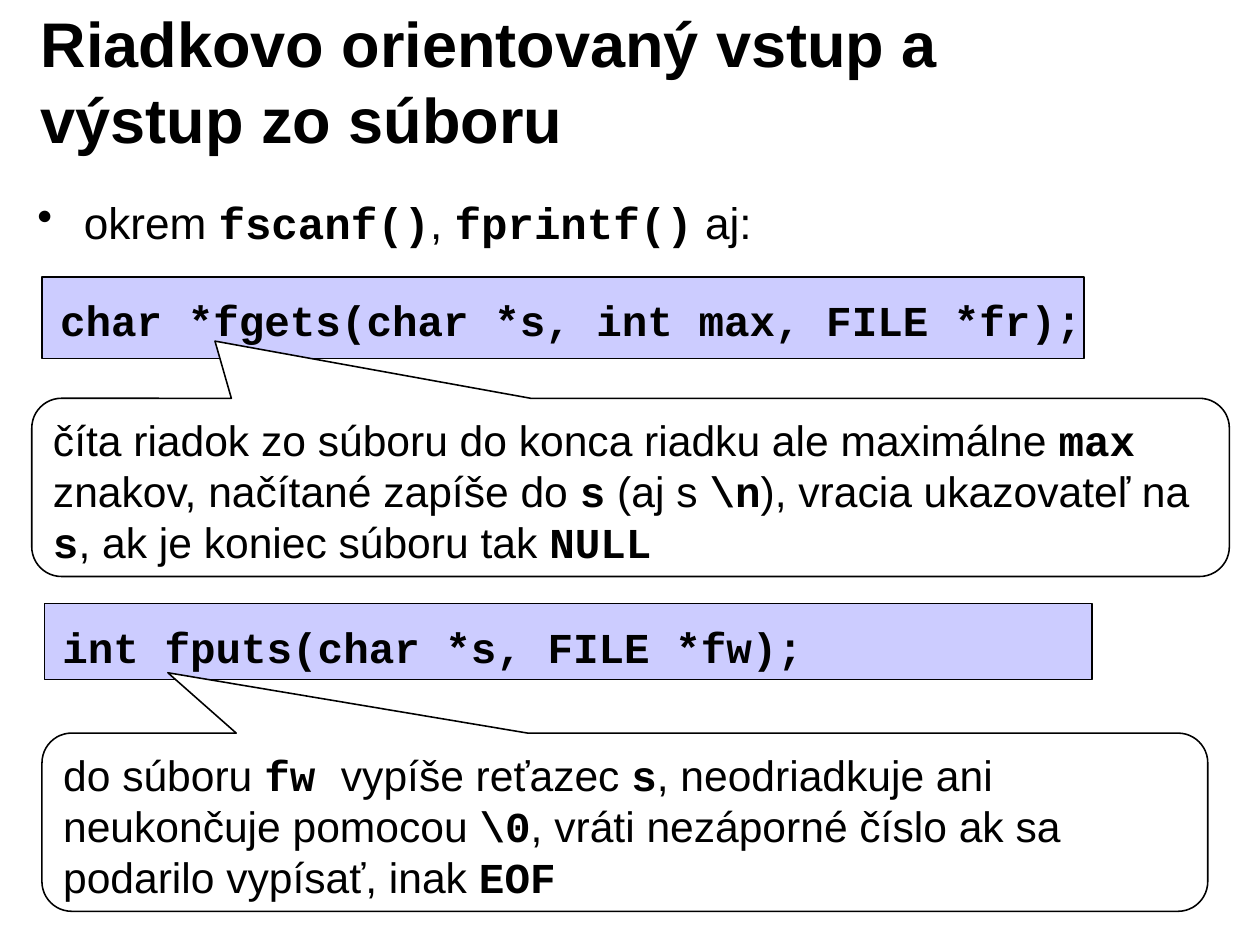
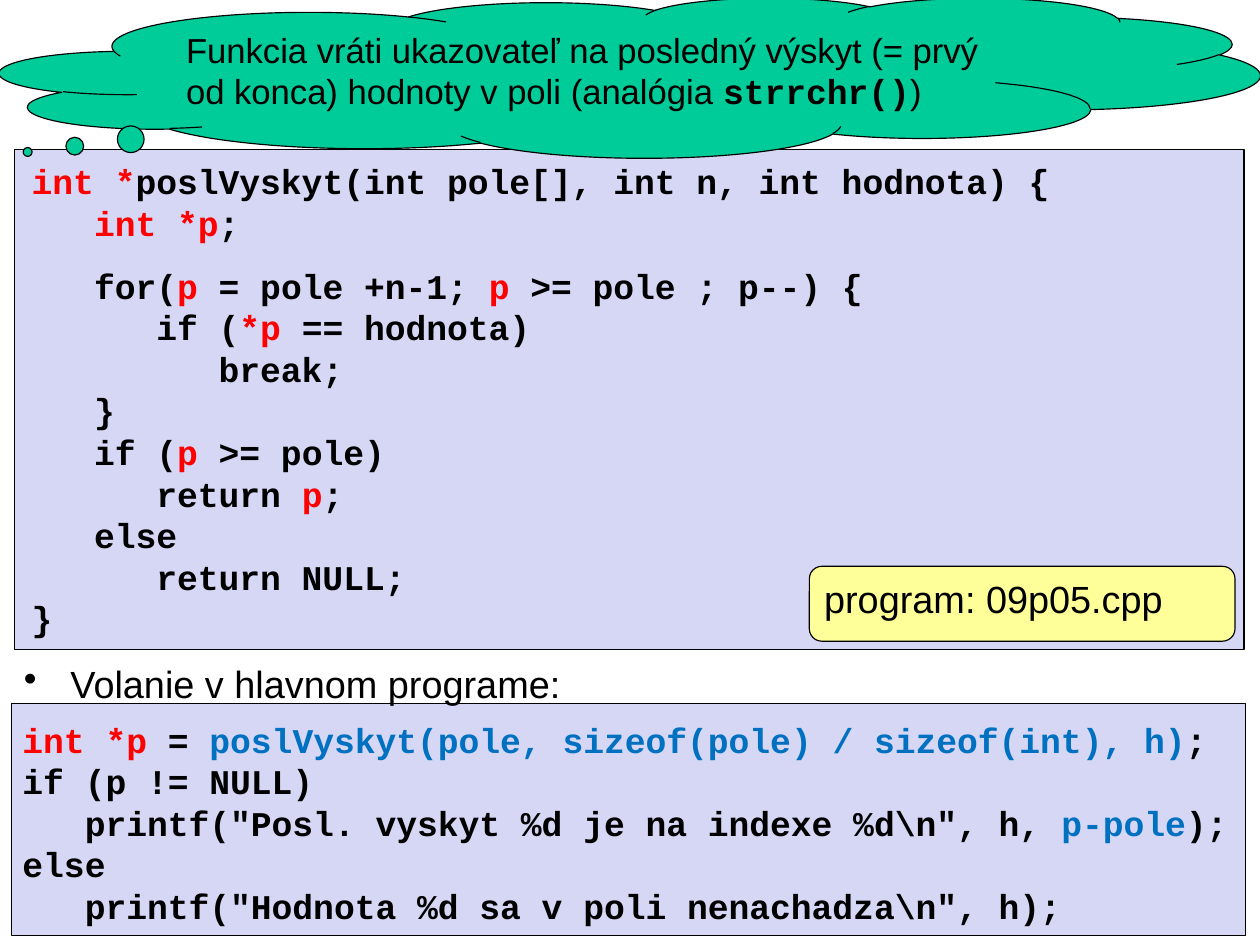
from lxml import etree
from pptx import Presentation
from pptx.dml.color import RGBColor
from pptx.enum.shapes import MSO_SHAPE
from pptx.enum.text import MSO_ANCHOR, PP_ALIGN
from pptx.oxml.ns import qn
from pptx.util import Inches, Pt

RECT = MSO_SHAPE.RECTANGLE
ROUND = MSO_SHAPE.ROUNDED_RECTANGLE
WEDGE = MSO_SHAPE.ROUNDED_RECTANGULAR_CALLOUT
CLOUD = MSO_SHAPE.CLOUD_CALLOUT
TOP, MIDDLE = MSO_ANCHOR.TOP, MSO_ANCHOR.MIDDLE
LEFT = PP_ALIGN.LEFT

# Shared look: fills, and text styles as font, bold, colour
BLACK, WHITE = "000000", "FFFFFF"
LILAC, PALE, GREEN, YELLOW = "CCCCFF", "D6D6F5", "00CC99", "FFFF99"
TEXT = ("Arial", False, BLACK)
HEAD = ("Arial", True, BLACK)
CODE = ("Courier New", True, BLACK)
RED = ("Courier New", True, "FF0000")
BLUE = ("Courier New", True, "0070C0")

# Grid: 111 columns by 83 rows
prs = Presentation()
prs.slide_width, prs.slide_height = Inches(11.1), Inches(8.3)
COL, ROW = prs.slide_width / 111, prs.slide_height / 83


def rgb(color):
    return RGBColor.from_string(color)


def box(slide, kind, place, paras, size, fill=None, line=0.75, adj=(),
        pad=(0.11, 0.06), bullet=False, anchor=TOP):
    """Add a shape, or a text box if kind is None; a run is (style, text)."""
    x, y, w, h = place
    area = [int(x * COL), int(y * ROW), int(w * COL), int(h * ROW)]
    if kind is None:
        shape = slide.shapes.add_textbox(*area)
    else:
        shape = slide.shapes.add_shape(kind, *area)
        shape.shadow.inherit = False
        shape.fill.solid()
        shape.fill.fore_color.rgb = rgb(fill)
        shape.line.color.rgb = rgb(BLACK)
        shape.line.width = Pt(line)
        for i, value in enumerate(adj):
            shape.adjustments[i] = value
    frame = shape.text_frame
    frame.word_wrap = True
    frame.vertical_anchor = anchor
    frame.margin_left, frame.margin_top = Inches(pad[0]), Inches(pad[1])
    frame.margin_right = Inches(min(pad[0], 0.11) if kind != RECT else 0)
    frame.margin_bottom = Inches(0.05)
    for i, runs in enumerate(paras):
        para = frame.add_paragraph() if i else frame.paragraphs[0]
        para.alignment = LEFT
        if bullet:
            props = para._p.get_or_add_pPr()
            props.set("marL", str(Inches(0.41)))
            props.set("indent", str(-Inches(0.41)))
            etree.SubElement(props, qn("a:buChar")).set("char", "•")
        for (face, bold, color), text in runs:
            run = para.add_run()
            run.text = text
            run.font.name, run.font.bold = face, bold
            run.font.size = Pt(size)
            run.font.color.rgb = rgb(color)
    return frame


blank = prs.slide_layouts[6]

# Slide 1: line input and output
lines = prs.slides.add_slide(blank)
box(lines, None, (2.5, 0, 89, 14),
    [[(HEAD, "Riadkovo orientovaný vstup a výstup zo súboru")]], 40,
    anchor=MIDDLE)
box(lines, None, (2.2, 16.6, 106.6, 8.3),
    [[(TEXT, "okrem "), (CODE, "fscanf()"), (TEXT, ", "),
      (CODE, "fprintf()"), (TEXT, " aj:")]], 28, bullet=True)

# Each function: its header, then a callout that explains it
gets = [(TEXT, "číta riadok zo súboru do konca riadku ale maximálne "),
        (CODE, "max"), (TEXT, " znakov, načítané zapíše do "), (CODE, "s"),
        (TEXT, " (aj s "), (CODE, "\\n"),
        (TEXT, "), vracia ukazovateľ na "), (CODE, "s"),
        (TEXT, ", ak je koniec súboru tak "), (CODE, "NULL")]
puts = [(TEXT, "do súboru "), (CODE, "fw "), (TEXT, "vypíše reťazec "),
        (CODE, "s"), (TEXT, ", neodriadkuje ani neukončuje pomocou "),
        (CODE, "\\0"),
        (TEXT, ", vráti nezáporné číslo ak sa podarilo vypísať, inak "),
        (CODE, "EOF")]
for head, bar, note, wedge, tip in (
        ("char *fgets(char *s, int max, FILE *fr);", (3.7, 24.4, 91.8, 7.2),
         gets, (2.8, 35.1, 105.5, 15.7), (-0.347, -0.821, 0.167)),
        ("int fputs(char *s, FILE *fw);", (3.9, 53.2, 92.3, 6.7),
         puts, (3.7, 64.6, 102.7, 15.7), (-0.392, -0.839, 0.167))):
    box(lines, RECT, bar, [[(CODE, head)]], 27, LILAC, pad=(0.16, 0.15))
    box(lines, WEDGE, wedge, [note], 27, WHITE, line=1, adj=tip)

# Slide 2: search from the end of an array
search = prs.slides.add_slide(blank)
body = [
    [(RED, "int *"), (CODE, "poslVyskyt(int pole[], int n, int hodnota) {")],
    [(CODE, "   "), (RED, "int *p"), (CODE, ";")],
    [(CODE, "   for("), (RED, "p "), (CODE, "= pole +n-1; "), (RED, "p"),
     (CODE, " >= pole ; p--) {")],
    [(CODE, "      if ("), (RED, "*p"), (CODE, " == hodnota)")],
    [(CODE, "         break;")],
    [(CODE, "   }")],
    [(CODE, "   if ("), (RED, "p"), (CODE, " >= pole)")],
    [(CODE, "      return "), (RED, "p"), (CODE, ";")],
    [(CODE, "   else")],
    [(CODE, "      return NULL;")],
    [(CODE, "}")],
]
call = [
    [(RED, "int *p "), (CODE, "= "),
     (BLUE, "poslVyskyt(pole, sizeof(pole) / sizeof(int), h)"), (CODE, ";")],
    [(CODE, "if (p != NULL)")],
    [(CODE, "   printf(\"Posl. vyskyt %d je na indexe %d\\n\", h, "),
     (BLUE, "p-pole"), (CODE, ");")],
    [(CODE, "else")],
    [(CODE, "   printf(\"Hodnota %d sa v poli nenachadza\\n\", h);")],
]
box(search, RECT, (1, 62, 108.7, 20.4), call, 22, PALE, pad=(0.1, 0.13))
func = box(search, RECT, (1.3, 13.2, 108.3, 44), body, 22, PALE,
           pad=(0.15, 0.09))
func.paragraphs[2].space_before = Pt(13.5)  # gap above the loop

# Cloud, label of the call and file name
box(search, CLOUD, (0, -0.2, 111, 14.1),
    [[(TEXT, "Funkcia vráti ukazovateľ na posledný výskyt (= prvý od konca) "
             "hodnoty v poli (analógia "),
      (CODE, "strrchr()"), (TEXT, ")")]], 22, GREEN, adj=(-0.478, 0.464))
box(search, None, (1, 57.6, 59.9, 6.2),
    [[(TEXT, "Volanie v hlavnom programe:")]], 24, bullet=True)
box(search, ROUND, (71.3, 49.9, 37.5, 6.6),
    [[(TEXT, "program: 09p05.cpp")]], 24, YELLOW, adj=(0.167,),
    pad=(0.1, 0.05))

prs.save("out.pptx")
